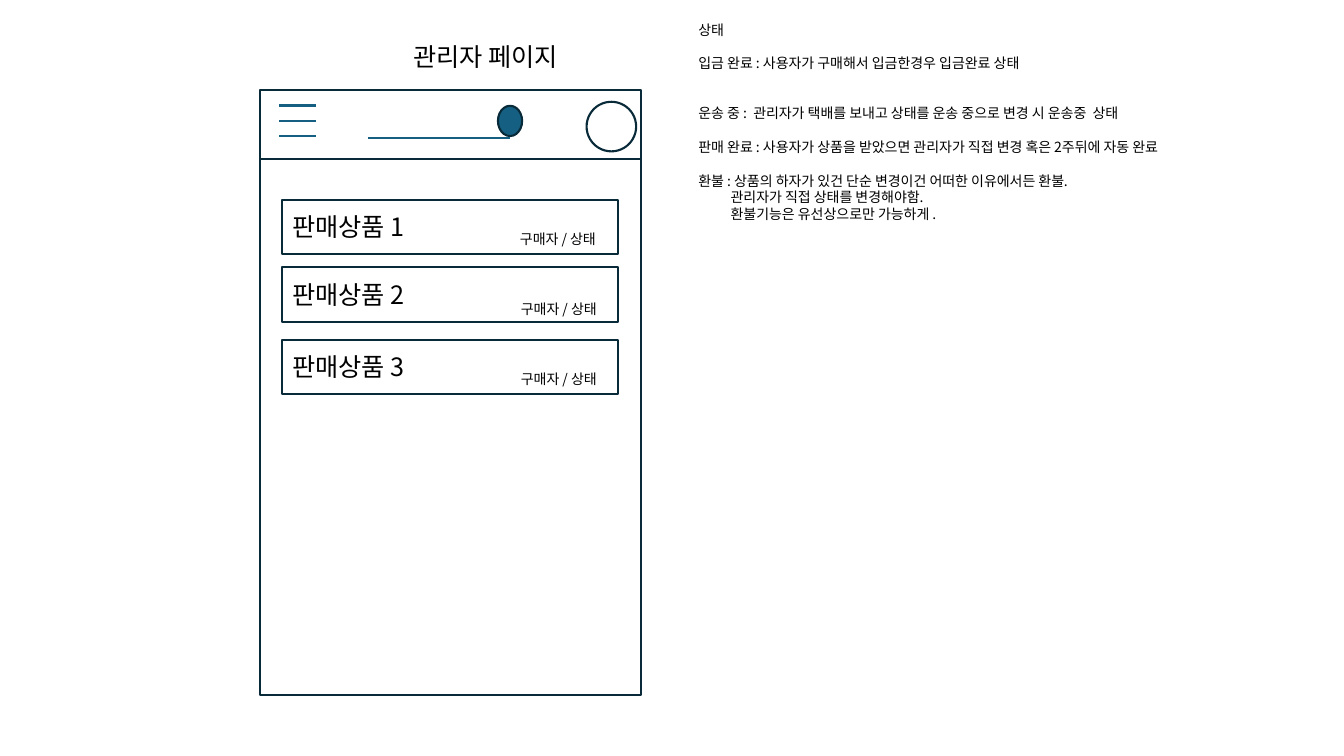
"""Build the administrator page wireframe with its order status notes."""
from dataclasses import dataclass

from lxml import etree
from pptx import Presentation
from pptx.dml.color import RGBColor
from pptx.enum.shapes import MSO_CONNECTOR, MSO_SHAPE
from pptx.enum.text import MSO_ANCHOR, PP_ALIGN
from pptx.oxml.ns import qn
from pptx.util import Pt

RECTANGLE, OVAL = MSO_SHAPE.RECTANGLE, MSO_SHAPE.OVAL
STRAIGHT = MSO_CONNECTOR.STRAIGHT
MIDDLE, TOP = MSO_ANCHOR.MIDDLE, MSO_ANCHOR.TOP
LEFT = PP_ALIGN.LEFT


@dataclass(frozen=True)
class Theme:
    """Colours, font and sizes of the wireframe."""
    paper: RGBColor = RGBColor(0xFF, 0xFF, 0xFF)
    outline: RGBColor = RGBColor(0x09, 0x2A, 0x39)
    accent: RGBColor = RGBColor(0x15, 0x60, 0x82)
    ink: RGBColor = RGBColor(0, 0, 0)
    font: str = "Noto Sans CJK KR"
    heading: float = 18
    small: float = 10
    leading: float = 1.2
    stroke: float = 1.5


class Wireframe:
    """Draws wireframe elements on one slide, with lengths in points."""

    def __init__(self, page, theme):
        self.page = page
        self.theme = theme

    def style(self, para, size):
        """Apply the theme's type to a paragraph."""
        para.alignment = LEFT
        para.line_spacing = Pt(size * self.theme.leading)
        for span in para.runs:
            span.font.size = Pt(size)
            span.font.name = self.theme.font
            span.font.color.rgb = self.theme.ink
            east_asian = etree.SubElement(span.font._element, qn("a:ea"))
            east_asian.set("typeface", self.theme.font)

    def shape(self, kind, left, top, width, height, fill=None, text=""):
        """Add an outlined shape, optionally with a heading inside."""
        box = self.page.shapes.add_shape(
            kind, Pt(left), Pt(top), Pt(width), Pt(height))
        box.shadow.inherit = False
        box.fill.solid()
        box.fill.fore_color.rgb = fill or self.theme.paper
        box.line.color.rgb = self.theme.outline
        box.line.width = Pt(self.theme.stroke)
        if text:
            box.text_frame.text = text
            box.text_frame.vertical_anchor = MIDDLE
            self.style(box.text_frame.paragraphs[0], self.theme.heading)

    def rule(self, left, right, height):
        """Add a horizontal accent line."""
        line = self.page.shapes.add_connector(
            STRAIGHT, Pt(left), Pt(height), Pt(right), Pt(height))
        line.line.color.rgb = self.theme.accent
        line.line.width = Pt(self.theme.stroke)
        etree.SubElement(line._element.spPr, qn("a:effectLst"))

    def text(self, left, top, width, height, lines, size, wrap=False):
        """Add lines given as wording, space before and indent."""
        box = self.page.shapes.add_textbox(
            Pt(left), Pt(top), Pt(width), Pt(height))
        frame = box.text_frame
        frame.word_wrap = wrap
        frame.vertical_anchor = TOP
        for index, (wording, gap, indent) in enumerate(lines):
            para = frame.add_paragraph() if index else frame.paragraphs[0]
            para.text = wording
            para.space_before = Pt(gap)
            if indent:
                para._p.get_or_add_pPr().set("marL", str(Pt(indent)))
            self.style(para, size)


STATUS_NOTES = [
    ("상태", 0, 0),
    ("입금 완료 : 사용자가 구매해서 입금한경우 입금완료 상태", 12, 0),
    ("운송 중 :  관리자가 택배를 보내고 상태를 운송 중으로 변경 시 운송중  상태", 24, 0),
    ("판매 완료 : 사용자가 상품을 받았으면 관리자가 직접 변경 혹은 2주뒤에 자동 완료", 12, 0),
    ("환불 : 상품의 하자가 있건 단순 변경이건 어떠한 이유에서든 환불.", 12, 0),
    ("관리자가 직접 상태를 변경해야함.", 0, 23),
    ("환불기능은 유선상으로만 가능하게 .", 0, 23),
]
PRODUCTS = [(142.6, 364.3), (190.8, 365), (242.6, 365)]


def main():
    """Create the deck and save it."""
    theme = Theme()
    deck = Presentation()
    deck.slide_width, deck.slide_height = Pt(960), Pt(540)
    page = deck.slides.add_slide(deck.slide_layouts[6])
    wireframe = Wireframe(page, theme)

    wireframe.text(288, 26, 130, 29, [("관리자 페이지", 0, 0)], theme.heading)
    wireframe.shape(RECTANGLE, 185.8, 64.8, 272, 432)
    wireframe.shape(RECTANGLE, 185.8, 64, 272, 49.7)
    for row in range(3):
        wireframe.rule(199.6, 225.6, 75.4 + 10.8 * row)
    wireframe.shape(OVAL, 419, 72.7, 35.4, 35.4)
    wireframe.shape(OVAL, 355.7, 75.6, 17.3, 21.6, theme.accent)
    wireframe.rule(262.8, 364.3, 98.6)

    for index, (top, status_left) in enumerate(PRODUCTS):
        wireframe.shape(RECTANGLE, 201.6, top, 240, 39,
                        text=f"판매상품 {index + 1}")
        wireframe.text(status_left, 161.2 + 50 * index, 76, 19.4,
                       [("구매자 / 상태", 0, 0)], theme.small)

    wireframe.text(491.8, 11.5, 429, 230, STATUS_NOTES, theme.small, wrap=True)
    deck.save("out.pptx")


if __name__ == "__main__":
    main()
